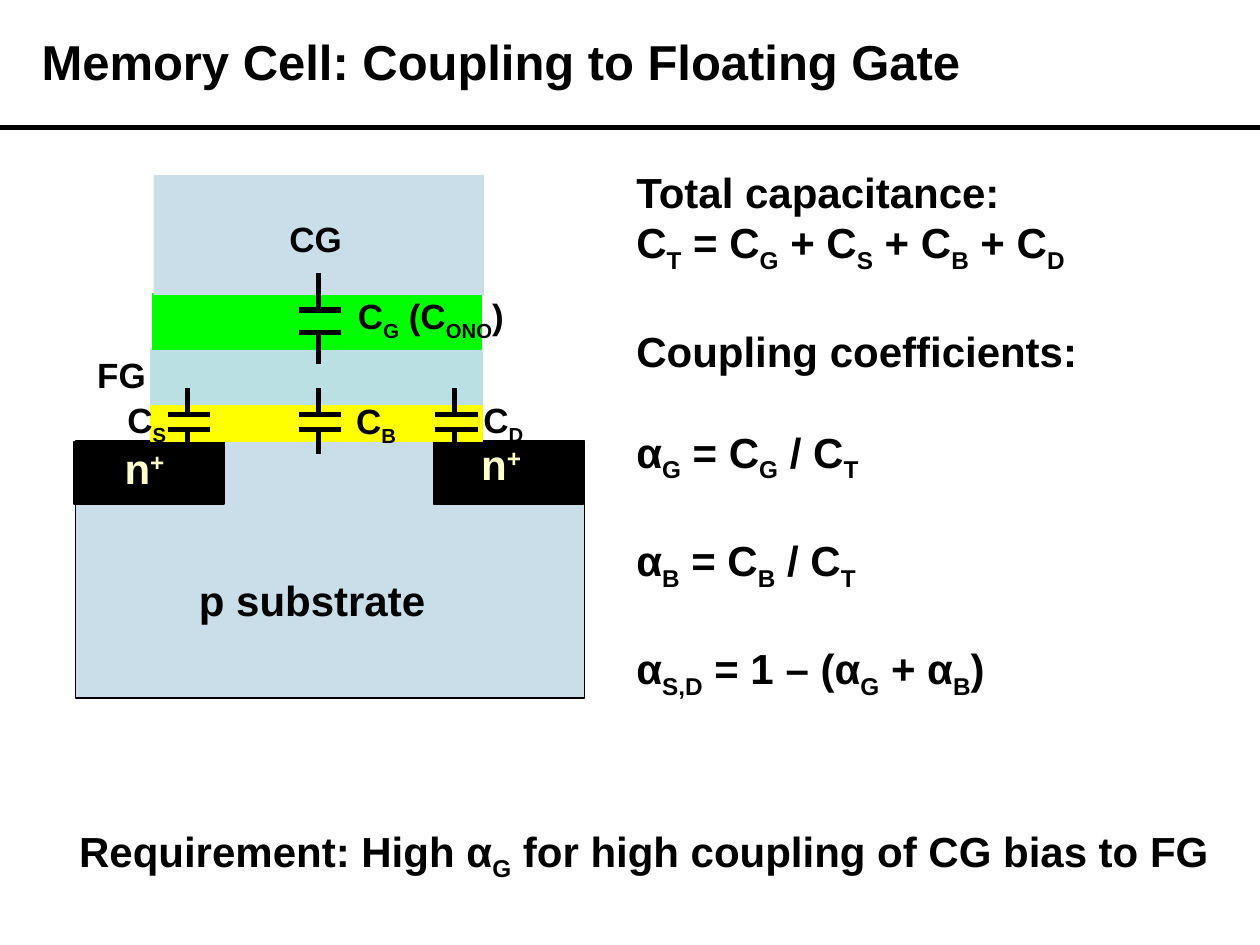
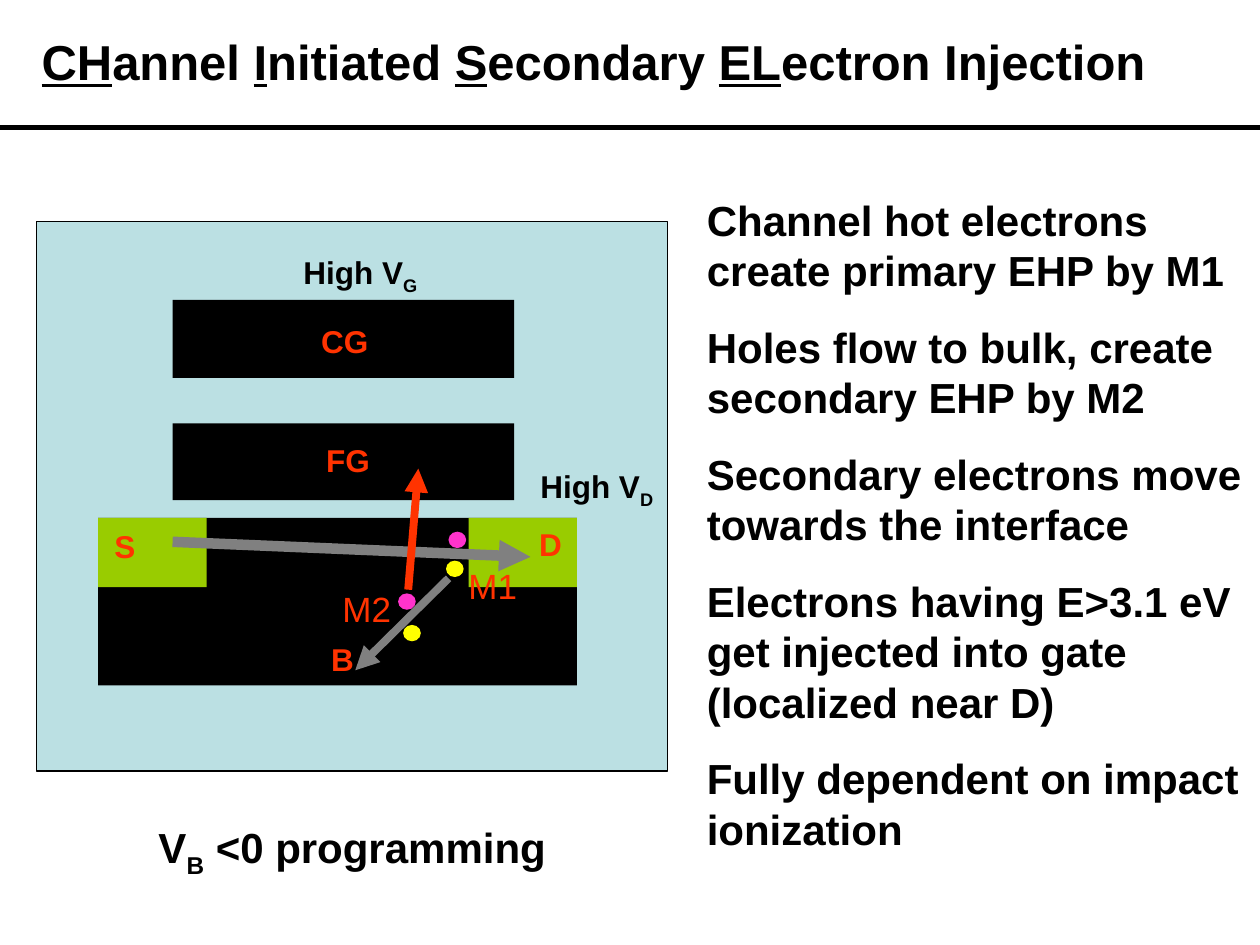
from dataclasses import dataclass

from lxml import etree
from pptx import Presentation
from pptx.dml.color import RGBColor
from pptx.enum.shapes import MSO_CONNECTOR, MSO_SHAPE
from pptx.enum.text import MSO_ANCHOR, MSO_AUTO_SIZE, PP_ALIGN
from pptx.oxml.ns import qn
from pptx.util import Inches, Pt


@dataclass(frozen=True)
class Theme:
    font: str = "Arial"
    black: str = "000000"
    silicon: str = "CADEE9"
    poly: str = "BBE0E3"
    oxide: str = "FFFF00"
    ono: str = "00FF00"
    doping: str = "FFFFCC"
    junction: str = "99CC00"
    signal: str = "FF3300"
    electron: str = "FF33CC"
    hole: str = "FFFF00"
    current: str = "808080"
    title: int = 28
    body: int = 24
    label: int = 20
    small: int = 18
    leading: float = 1.2
    deep_leading: float = 1.37  # room for a subscript


THEME = Theme()
LEFT, CENTER = PP_ALIGN.LEFT, PP_ALIGN.CENTER
SUBSCRIPT = ("baseline", "-25000")
SUPERSCRIPT = ("baseline", "30000")
UNDERLINE = ("u", "sng")


def write(shape, lines, size, color=THEME.black, bold=True, align=LEFT,
          gaps=(0,), accent=SUBSCRIPT, wrap=True):
    """Fill a shape with lines; parts between ~ marks get the accent."""
    frame = shape.text_frame
    frame.word_wrap = wrap
    frame.auto_size = MSO_AUTO_SIZE.NONE
    frame.vertical_anchor = MSO_ANCHOR.TOP
    for index, line in enumerate(lines):
        para = frame.add_paragraph() if index else frame.paragraphs[0]
        para.alignment = align
        para.space_before = Pt(gaps[index % len(gaps)])
        deep = "~" in line and accent == SUBSCRIPT
        para.line_spacing = Pt(size * (THEME.deep_leading if deep else THEME.leading))
        for part, text in enumerate(line.split("~")):
            if not text:
                continue
            span = para.add_run()
            span.text = text
            span.font.name = THEME.font
            span.font.size = Pt(size)
            span.font.bold = bold
            span.font.color.rgb = RGBColor.from_string(color)
            if part % 2:
                span.font._element.set(*accent)


def draw_line(page, start, end, color=THEME.black, width=3, arrow=False):
    line = page.shapes.add_connector(
        MSO_CONNECTOR.STRAIGHT, *map(Inches, (*start, *end)))
    line.line.color.rgb = RGBColor.from_string(color)
    line.line.width = Pt(width)
    if arrow:
        etree.SubElement(line.line._get_or_add_ln(), qn("a:tailEnd"), type="triangle")
    etree.SubElement(line._element.spPr, qn("a:effectLst"))


deck = Presentation()
deck.slide_width, deck.slide_height = Inches(10), Inches(7.5)

# Titles, rules and body text: title, title width, body place, body lines, gaps
contents = [
    ("Memory Cell: Coupling to Floating Gate", 8.4, (4.95, 1.27, 4.43, 4.32),
     ["Total capacitance:",
      "C~T~ = C~G~ + C~S~ + C~B~ + C~D~",
      "Coupling coefficients:",
      "α~G~ = C~G~ / C~T~",
      "α~B~ = C~B~ / C~T~",
      "α~S,D~ = 1 – (α~G~ + α~B~)"],
     (0, 0, 29, 29, 29, 29)),
    ("~CH~annel ~I~nitiated ~S~econdary ~EL~ectron Injection", 9.46,
     (5.51, 1.49, 4.49, 5.34),
     ["Channel hot electrons create primary EHP by M1",
      "Holes flow to bulk, create secondary EHP by M2",
      "Secondary electrons move towards the interface",
      "Electrons having E>3.1 eV get injected into gate (localized near D)",
      "Fully dependent on impact ionization"],
     (0, 15, 15, 15, 15)),
]
for title, title_width, body_place, lines, gaps in contents:
    page = deck.slides.add_slide(deck.slide_layouts[1])
    heading, body = page.placeholders
    places = [(0.23, 0.2, title_width, 0.57), body_place]
    for box, place in zip((heading, body), places):
        box.left, box.top, box.width, box.height = map(Inches, place)
    write(heading, [title], THEME.title, accent=UNDERLINE)
    write(body, lines, THEME.body, gaps=gaps)
    for para in body.text_frame.paragraphs:
        props = para._p.get_or_add_pPr()
        props.set("marL", "0")
        props.set("indent", "0")
        etree.SubElement(props, qn("a:buNone"))
    draw_line(page, (0, 1.01), (10, 1.01))
cell, injection = deck.slides

# Device layers from back to front: page, outline, place, fill, line, line width
RECT, OVAL = MSO_SHAPE.RECTANGLE, MSO_SHAPE.OVAL
layers = [
    (cell, RECT, (0.6, 3.5, 4.04, 2.04), THEME.silicon, THEME.black, 1),
    (cell, RECT, (0.59, 3.51, 1.19, 0.49), THEME.black, THEME.black, 1),
    (cell, RECT, (3.44, 3.51, 1.19, 0.49), THEME.black, THEME.black, 1),
    (cell, RECT, (1.2, 3.22, 2.63, 0.28), THEME.oxide, THEME.oxide, 1),
    (cell, RECT, (1.2, 2.77, 2.63, 0.44), THEME.poly, THEME.poly, 1),
    (cell, RECT, (1.21, 2.33, 2.61, 0.44), THEME.ono, THEME.ono, 1),
    (cell, RECT, (1.22, 1.39, 2.62, 0.95), THEME.silicon, None, 0),
    (injection, RECT, (0.29, 1.76, 5.01, 4.36), THEME.poly, THEME.black, 0.75),
    (injection, RECT, (0.78, 4.11, 3.8, 1.33), THEME.black, None, 0),
    (injection, RECT, (0.78, 4.11, 0.86, 0.55), THEME.junction, None, 0),
    (injection, RECT, (3.72, 4.11, 0.86, 0.55), THEME.junction, None, 0),
    (injection, RECT, (1.37, 3.36, 2.71, 0.61), THEME.black, None, 0),
    (injection, RECT, (1.37, 2.38, 2.71, 0.62), THEME.black, None, 0),
]
carriers = [(3.56, 4.22, THEME.electron), (3.16, 4.71, THEME.electron),
            (3.54, 4.45, THEME.hole), (3.2, 4.96, THEME.hole)]
layers += [(injection, OVAL, (left, top, 0.14, 0.13), fill, None, 0)
           for left, top, fill in carriers]
for page, outline, place, fill, edge, edge_width in layers:
    layer = page.shapes.add_shape(outline, *map(Inches, place))
    layer.shadow.inherit = False
    layer.fill.solid()
    layer.fill.fore_color.rgb = RGBColor.from_string(fill)
    if edge:
        layer.line.color.rgb = RGBColor.from_string(edge)
        layer.line.width = Pt(edge_width)
    else:
        layer.line.fill.background()

# Capacitors: center, then upper lead, upper plate, lower plate, lower lead
capacitors = [
    (1.49, 3.08, 3.29, 3.41, 3.6),
    (2.53, 3.08, 3.29, 3.41, 3.6),
    (3.61, 3.08, 3.29, 3.41, 3.6),
    (2.53, 2.17, 2.46, 2.64, 2.89),
]
for center, top, upper, lower, bottom in capacitors:
    for plate, lead_end in ((upper, top), (lower, bottom)):
        draw_line(cell, (center - 0.16, plate), (center + 0.18, plate))
        draw_line(cell, (center, plate), (center, lead_end))

# Carrier paths
draw_line(injection, (1.37, 4.3), (4.21, 4.42), THEME.current, 6, arrow=True)
draw_line(injection, (3.56, 4.59), (2.82, 5.32), THEME.current, 4.5, arrow=True)
draw_line(injection, (3.24, 4.68), (3.32, 3.72), THEME.signal, 4.5, arrow=True)

# Labels: page, text, place, size, and what differs from black bold left text
middle = {"align": CENTER}
doped = {"color": THEME.doping, "accent": SUPERSCRIPT}
terminal = {"color": THEME.signal}
event = {"color": THEME.signal, "bold": False}
loose = {"wrap": False}
labels = [
    (cell, "CG", (1.62, 1.68, 1.77, 0.44), THEME.label, middle),
    (cell, "p substrate", (1.48, 4.51, 2.35, 0.5), THEME.body, {}),
    (cell, "n~+~", (0.89, 3.46, 1.01, 0.5), THEME.body, doped),
    (cell, "n~+~", (3.72, 3.43, 1.01, 0.5), THEME.body, doped),
    (cell, "FG", (0.65, 2.76, 0.63, 0.44), THEME.label, middle),
    (cell, "C~S~", (0.85, 3.11, 0.63, 0.48), THEME.label, middle),
    (cell, "C~D~", (3.68, 3.11, 0.63, 0.48), THEME.label, middle),
    (cell, "C~B~", (2.67, 3.12, 0.63, 0.48), THEME.label, middle),
    (cell, "C~G~ (C~ONO~)", (2.6, 2.29, 1.64, 0.48), THEME.label, middle),
    (cell, "Requirement: High α~G~ for high coupling of CG bias to FG",
     (0.53, 6.5, 9.17, 0.56), THEME.body, loose),
    (injection, "S", (0.81, 4.13, 0.61, 0.53), THEME.small, terminal),
    (injection, "D", (4.18, 4.12, 0.69, 0.55), THEME.small, terminal),
    (injection, "FG", (2.49, 3.45, 0.57, 0.58), THEME.small, terminal),
    (injection, "B", (2.53, 5.03, 0.5, 0.68), THEME.small, terminal),
    (injection, "CG", (2.45, 2.51, 0.68, 0.54), THEME.small, terminal),
    (injection, "M1", (3.62, 4.43, 0.87, 0.44), THEME.label, event),
    (injection, "M2", (2.62, 4.61, 0.9, 0.44), THEME.label, event),
    (injection, "V~B~ <0 programming", (1.16, 6.47, 3.37, 0.56), THEME.body, loose),
    (injection, "High V~D~", (4.19, 3.66, 1.09, 0.44), THEME.small, loose),
    (injection, "High V~G~", (2.31, 1.96, 1.1, 0.44), THEME.small, loose),
]
for page, text, place, size, style in labels:
    write(page.shapes.add_textbox(*map(Inches, place)), [text], size, **style)

deck.save("out.pptx")
